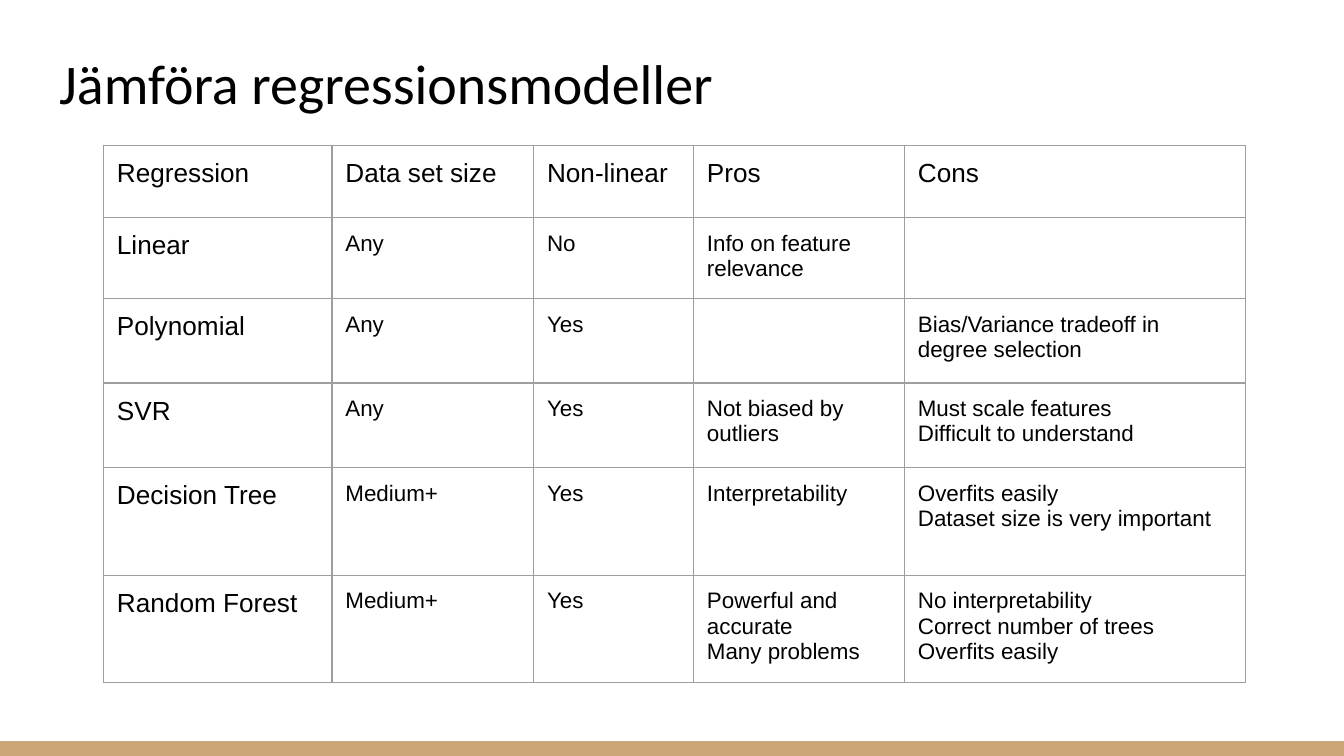
"""Build a slide comparing regression models in a table."""
from lxml import etree
from pptx import Presentation, util as u
from pptx.dml.color import RGBColor
from pptx.enum import shapes, text
from pptx.oxml import ns

COLORS = {"text": "000000", "border": "9E9E9E", "bar": "CCA677"}
WIDTH = 10
HEIGHT = WIDTH * 9 / 16
BAR_HEIGHT = 0.11
MARGIN = 0.34
INSET = 0.1
TABLE_LEFT, TABLE_TOP = 0.77, 1.08
COLUMN_WIDTHS = [1.7, 1.5, 1.19, 1.57, 2.54]
ROW_HEIGHTS = [0.54, 0.6, 0.63, 0.63, 0.8, 0.8]
TITLE = "Jämföra regressionsmodeller"
ROWS = [
    ["Regression", "Data set size", "Non-linear", "Pros", "Cons"],
    ["Linear", "Any", "No", "Info on feature relevance", ""],
    ["Polynomial", "Any", "Yes", "", "Bias/Variance tradeoff in degree selection"],
    ["SVR", "Any", "Yes", "Not biased by outliers",
     "Must scale features\nDifficult to understand"],
    ["Decision Tree", "Medium+", "Yes", "Interpretability",
     "Overfits easily\nDataset size is very important"],
    ["Random Forest", "Medium+", "Yes", "Powerful and accurate\nMany problems",
     "No interpretability\nCorrect number of trees\nOverfits easily"],
]


def write(frame, content, size, font="Arial", color="text"):
    frame.text = content
    for paragraph in frame.paragraphs:
        paragraph.alignment = text.PP_ALIGN.LEFT
        paragraph.font.size = u.Pt(size)
        paragraph.font.name = font
        paragraph.font.color.rgb = RGBColor.from_string(COLORS[color])


def set_insets(target):
    for side in ("left", "right", "top", "bottom"):
        setattr(target, f"margin_{side}", u.Inches(INSET))


def add_borders(cell):
    properties = cell._tc.get_or_add_tcPr()
    for side in ("lnL", "lnR", "lnT", "lnB"):
        line = etree.SubElement(properties, ns.qn(f"a:{side}"), w=str(u.Pt(0.75)))
        fill = etree.SubElement(line, ns.qn("a:solidFill"))
        etree.SubElement(fill, ns.qn("a:srgbClr"), val=COLORS["border"])


def add_bar(slide):
    bar = slide.shapes.add_shape(
        shapes.MSO_SHAPE.RECTANGLE, 0, u.Inches(HEIGHT - BAR_HEIGHT),
        u.Inches(WIDTH), u.Inches(BAR_HEIGHT))
    bar.shadow.inherit = False
    bar.fill.solid()
    bar.fill.fore_color.rgb = RGBColor.from_string(COLORS["bar"])
    bar.line.fill.background()


def add_title(slide):
    title = slide.shapes.title
    title.left, title.top = u.Inches(MARGIN), u.Inches(0.35)
    title.width, title.height = u.Inches(WIDTH - 2 * MARGIN), u.Inches(0.61)
    frame = title.text_frame
    write(frame, TITLE, 30, font="Calibri")
    set_insets(frame)
    frame.auto_size = text.MSO_AUTO_SIZE.NONE
    frame.vertical_anchor = text.MSO_ANCHOR.BOTTOM


def add_comparison(slide):
    table = slide.shapes.add_table(
        len(ROWS), len(COLUMN_WIDTHS), u.Inches(TABLE_LEFT), u.Inches(TABLE_TOP),
        u.Inches(sum(COLUMN_WIDTHS)), u.Inches(sum(ROW_HEIGHTS))).table
    table.first_row = table.horz_banding = False
    for column, width in zip(table.columns, COLUMN_WIDTHS):
        column.width = u.Inches(width)
    for row, height in zip(table.rows, ROW_HEIGHTS):
        row.height = u.Inches(height)
    for i, row in enumerate(ROWS):
        for j, content in enumerate(row):
            cell = table.cell(i, j)
            write(cell.text_frame, content, 14 if i == 0 or j == 0 else 12)
            set_insets(cell)
            add_borders(cell)
            cell.fill.background()


def main():
    presentation = Presentation()
    presentation.slide_width = u.Inches(WIDTH)
    presentation.slide_height = u.Inches(HEIGHT)
    slide = presentation.slides.add_slide(presentation.slide_layouts[5])
    add_bar(slide)
    add_title(slide)
    add_comparison(slide)
    presentation.save("out.pptx")


if __name__ == "__main__":
    main()
